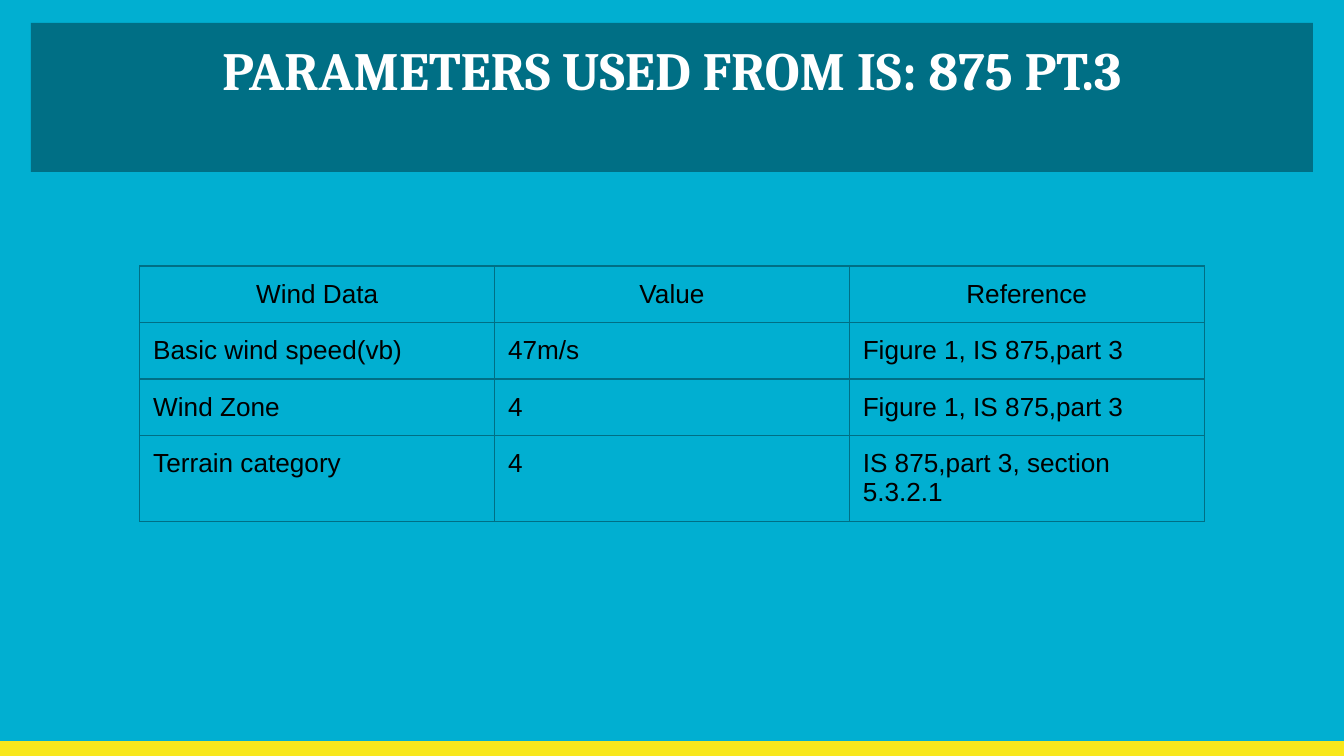
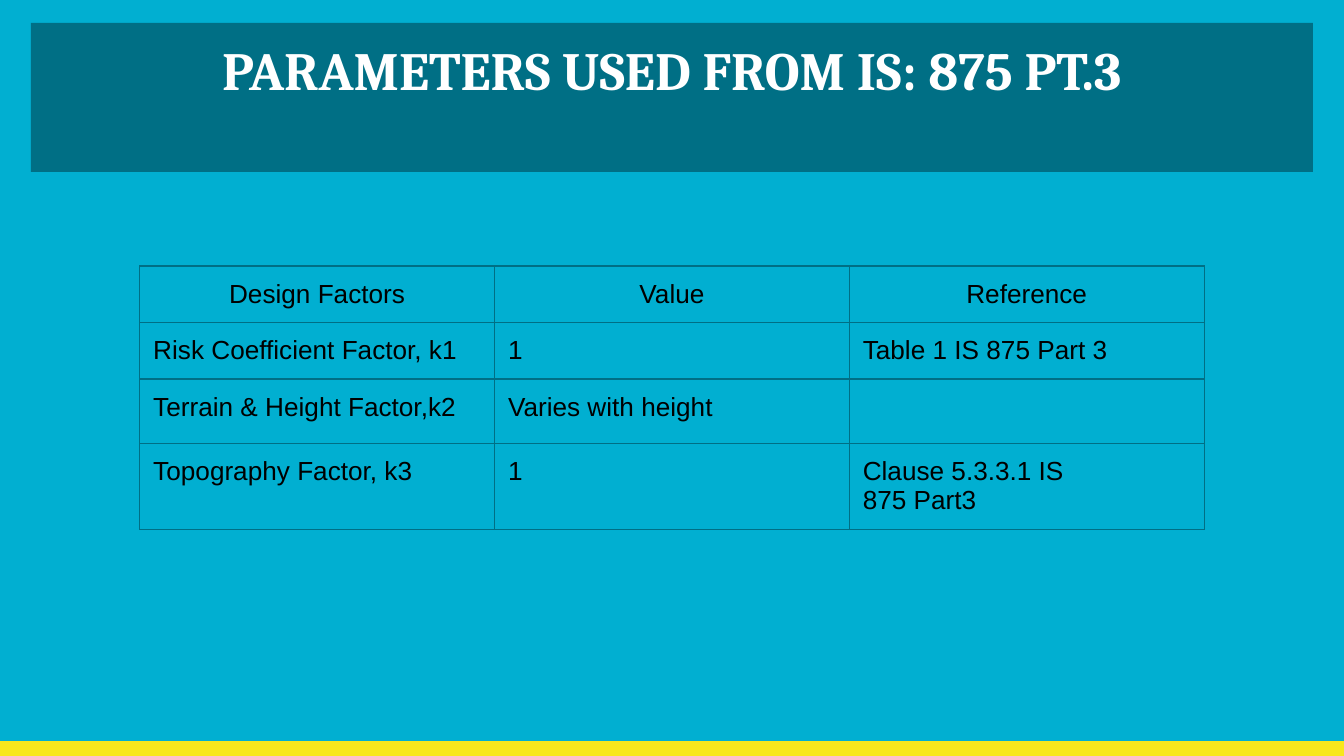
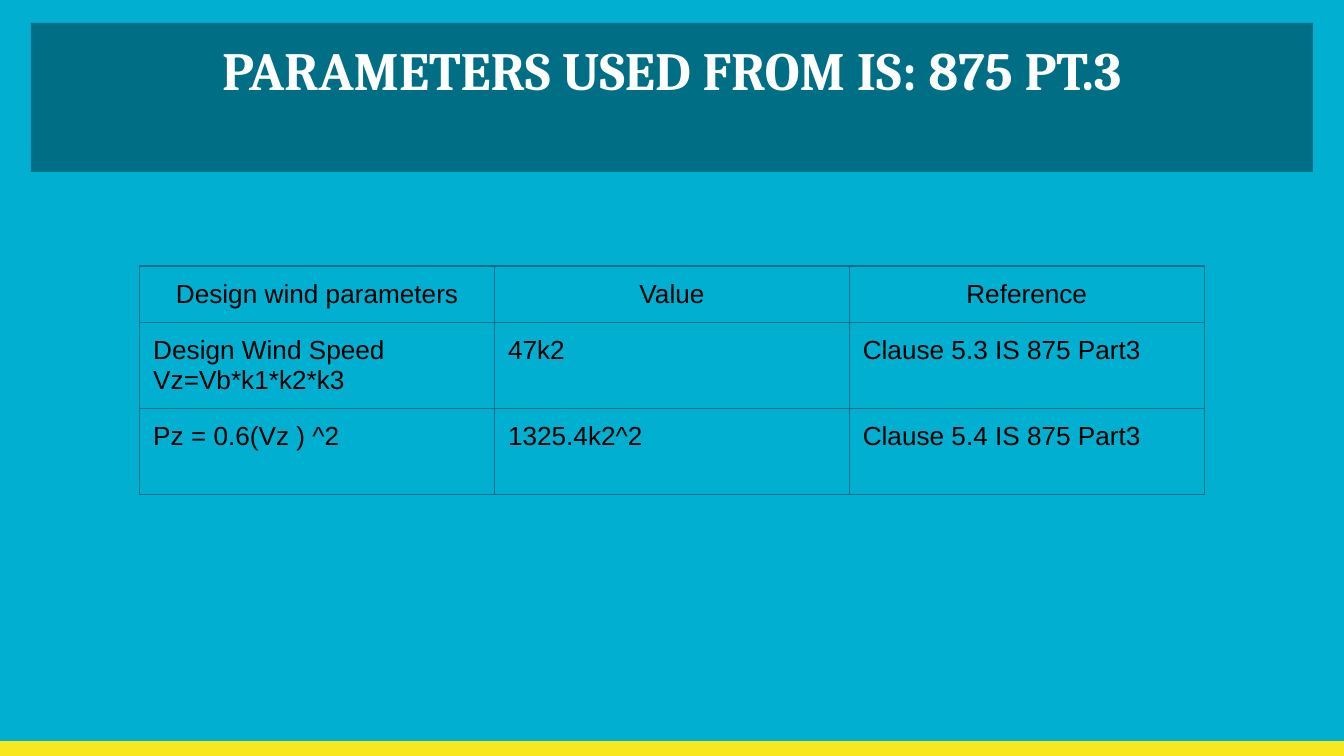
from dataclasses import dataclass

import lxml.etree
import pptx
import pptx.dml.color
import pptx.dml.fill
import pptx.enum.shapes
import pptx.enum.text
import pptx.oxml.ns
import pptx.slide
import pptx.table
import pptx.text.text
import pptx.util
from pptx.util import Inches

SLIDE_WIDTH = Inches(10)
SLIDE_HEIGHT = SLIDE_WIDTH * 9 // 16
FOOTER_HEIGHT = Inches(0.11)
TABLE_LEFT, TABLE_TOP = Inches(1.04), Inches(1.98)
COLUMN_WIDTH = Inches(2.64)
INSET = Inches(0.1)
BORDER_WIDTH = pptx.util.Pt(0.75)

BACKGROUND = "01AFD1"
DARK_TEAL = "006F85"
YELLOW = "F8E71C"
WHITE = "FFFFFF"
BLACK = "000000"

TITLE = "PARAMETERS USED FROM IS: 875 PT.3"
ALIGN = pptx.enum.text.PP_ALIGN


@dataclass(frozen=True)
class Row:
    cells: tuple[str, str, str]
    height: float = 0.42


@dataclass(frozen=True)
class ParameterTable:
    subject: str
    rows: tuple[Row, ...]


PARAMETER_TABLES = (
    ParameterTable("Wind Data", (
        Row(("Basic wind speed(vb)", "47m/s", "Figure 1, IS 875,part 3")),
        Row(("Wind Zone", "4", "Figure 1, IS 875,part 3")),
        Row(("Terrain category", "4", "IS 875,part 3, section 5.3.2.1"), 0.64),
    )),
    ParameterTable("Design Factors", (
        Row(("Risk Coefficient Factor, k1", "1", "Table 1 IS 875 Part 3")),
        Row(("Terrain & Height Factor,k2", "Varies with height", ""), 0.48),
        Row(("Topography Factor, k3", "1", "Clause 5.3.3.1 IS\n875 Part3"), 0.64),
    )),
    ParameterTable("Design wind parameters", (
        Row(("Design Wind Speed\nVz=Vb*k1*k2*k3", "47k2", "Clause 5.3 IS 875 Part3"), 0.63),
        Row(("Pz = 0.6(Vz ) ^2", "1325.4k2^2", "Clause 5.4 IS 875 Part3"), 0.64),
    )),
)


def set_color(fill: pptx.dml.fill.FillFormat, color: str) -> None:
    fill.solid()
    fill.fore_color.rgb = pptx.dml.color.RGBColor.from_string(color)


def write_text(frame: pptx.text.text.TextFrame, text: str, font_name: str, size: float,
               color: str, align: ALIGN, bold: bool = False) -> None:
    frame.text = text
    frame.word_wrap = True
    for paragraph in frame.paragraphs:
        paragraph.alignment = align
        paragraph.font.name = font_name
        paragraph.font.size = pptx.util.Pt(size)
        paragraph.font.bold = bold
        set_color(paragraph.font.fill, color)


def add_band(slide: pptx.slide.Slide, left: int, top: int, width: int, height: int,
             color: str) -> pptx.text.text.TextFrame:
    """Draw a plain filled rectangle and return its text frame."""
    band = slide.shapes.add_shape(
        pptx.enum.shapes.MSO_SHAPE.RECTANGLE, left, top, width, height)
    band.shadow.inherit = False
    band.line.fill.background()
    set_color(band.fill, color)
    return band.text_frame


def add_title(slide: pptx.slide.Slide) -> None:
    frame = add_band(slide, Inches(0.23), Inches(0.17), Inches(9.54), Inches(1.11), DARK_TEAL)
    frame.margin_left = frame.margin_right = frame.margin_top = frame.margin_bottom = INSET
    frame.vertical_anchor = pptx.enum.text.MSO_ANCHOR.TOP
    write_text(frame, TITLE, "Cambria", 28.8, WHITE, ALIGN.CENTER, bold=True)


def add_borders(cell: pptx.table._Cell) -> None:
    qn = pptx.oxml.ns.qn
    properties = cell._tc.get_or_add_tcPr()
    for side in ("a:lnL", "a:lnR", "a:lnT", "a:lnB"):
        border = lxml.etree.SubElement(properties, qn(side), w=str(BORDER_WIDTH))
        solid = lxml.etree.SubElement(border, qn("a:solidFill"))
        lxml.etree.SubElement(solid, qn("a:srgbClr"), val=DARK_TEAL)


def fill_cell(cell: pptx.table._Cell, text: str, align: ALIGN) -> None:
    cell.margin_left = cell.margin_right = cell.margin_top = cell.margin_bottom = INSET
    add_borders(cell)
    cell.fill.background()
    write_text(cell.text_frame, text, "Arial", 14, BLACK, align)


def add_parameter_table(slide: pptx.slide.Slide, parameters: ParameterTable) -> None:
    header = Row((parameters.subject, "Value", "Reference"))
    rows = (header, *parameters.rows)
    column_count = len(header.cells)
    table = slide.shapes.add_table(
        len(rows), column_count, TABLE_LEFT, TABLE_TOP,
        COLUMN_WIDTH * column_count, Inches(sum(row.height for row in rows))).table
    table.first_row = table.horz_banding = False
    for column in table.columns:
        column.width = COLUMN_WIDTH
    for row_index, row in enumerate(rows):
        table.rows[row_index].height = Inches(row.height)
        align = ALIGN.CENTER if row is header else ALIGN.LEFT
        for column_index, text in enumerate(row.cells):
            fill_cell(table.cell(row_index, column_index), text, align)


def main() -> None:
    deck = pptx.Presentation()
    deck.slide_width, deck.slide_height = SLIDE_WIDTH, SLIDE_HEIGHT
    for parameters in PARAMETER_TABLES:
        slide = deck.slides.add_slide(deck.slide_layouts[6])
        set_color(slide.background.fill, BACKGROUND)
        add_band(slide, 0, SLIDE_HEIGHT - FOOTER_HEIGHT, SLIDE_WIDTH, FOOTER_HEIGHT, YELLOW)
        add_title(slide)
        add_parameter_table(slide, parameters)
    deck.save("out.pptx")


if __name__ == "__main__":
    main()
